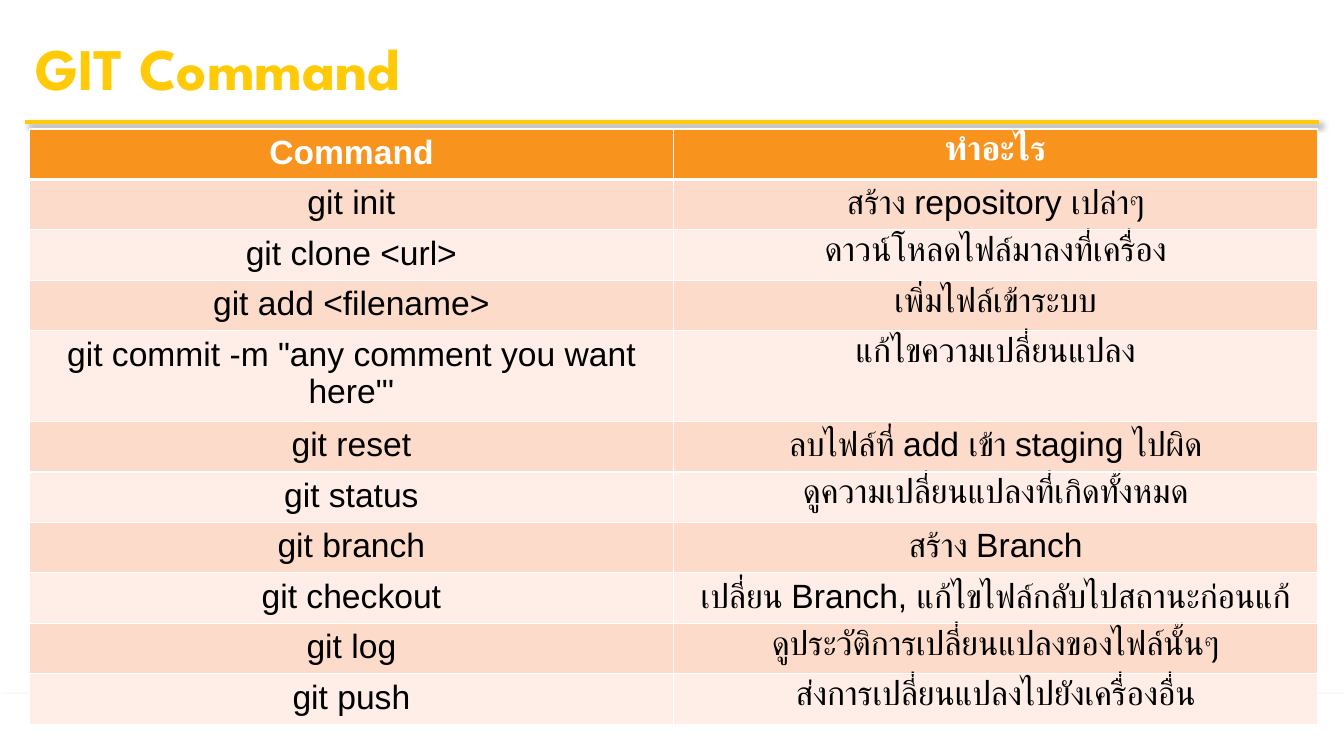
from typing import NamedTuple

from lxml import etree
from pptx import Presentation
from pptx.dml.color import RGBColor
from pptx.enum.shapes import MSO_CONNECTOR, MSO_SHAPE
from pptx.enum.text import MSO_ANCHOR, PP_ALIGN
from pptx.oxml import parse_xml
from pptx.oxml.ns import nsdecls, qn
from pptx.util import Inches, Pt

RECT = MSO_SHAPE.RECTANGLE
STRAIGHT = MSO_CONNECTOR.STRAIGHT
MIDDLE = MSO_ANCHOR.MIDDLE
LEFT, CENTER = PP_ALIGN.LEFT, PP_ALIGN.CENTER

COLORS = {
    "white": "FFFFFF",
    "black": "000000",
    "gold": "FFCA08",
    "head": "F8931D",
    "odd": "FCDBCB",
    "even": "FEEEE7",
}


class Command(NamedTuple):
    name: str
    use: str


HEAD = Command("Command", "ทำอะไร")
COMMANDS = [
    Command("git init", "สร้าง repository เปล่าๆ"),
    Command("git clone <url>", "ดาวน์โหลดไฟล์มาลงที่เครื่อง"),
    Command("git add <filename>", "เพิ่มไฟล์เข้าระบบ"),
    Command("git commit -m \"any comment you want here\"'", "แก้ไขความเปลี่ยนแปลง"),
    Command("git reset", "ลบไฟล์ที่ add เข้า staging ไปผิด"),
    Command("git status", "ดูความเปลี่ยนแปลงที่เกิดทั้งหมด"),
    Command("git branch", "สร้าง Branch"),
    Command("git checkout", "เปลี่ยน Branch, แก้ไขไฟล์กลับไปสถานะก่อนแก้"),
    Command("git log", "ดูประวัติการเปลี่ยนแปลงของไฟล์นั้นๆ"),
    Command("git push", "ส่งการเปลี่ยนแปลงไปยังเครื่องอื่น"),
]


def color(name: str) -> RGBColor:
    return RGBColor.from_string(COLORS[name])


def write(frame, text: str, *, size: float = 24, font: str = "Arial",
          ink: str = "black", bold: bool = False, align=CENTER) -> None:
    par = frame.paragraphs[0]
    par.alignment = align
    run = par.add_run()
    run.text = text
    run.font.size = Pt(size)
    run.font.name = font
    run.font.bold = bold
    run.font.color.rgb = color(ink)


def set_line(line, name: str, width: float) -> None:
    line.color.rgb = color(name)
    line.width = Pt(width)


def add_shadow(shape) -> None:
    effects = etree.SubElement(shape._element.spPr, qn("a:effectLst"))
    effects.append(parse_xml(
        f'<a:outerShdw {nsdecls("a")} blurRad="{Pt(4)}" dist="{Pt(3)}" '
        f'dir="{45 * 60000}" algn="tl" rotWithShape="0">'
        f'<a:srgbClr val="{COLORS["black"]}"><a:alpha val="40000"/></a:srgbClr>'
        '</a:outerShdw>'))


def set_edges(cell, top: float, bottom: float) -> None:
    """Draw white borders, one point wide at the sides."""
    props = cell._tc.get_or_add_tcPr()
    edges = {"L": 1, "R": 1, "T": top, "B": bottom}
    for place, (side, width) in enumerate(edges.items()):
        props.insert(place, parse_xml(
            f'<a:ln{side} {nsdecls("a")} w="{Pt(width)}"><a:solidFill>'
            f'<a:srgbClr val="{COLORS["white"]}"/></a:solidFill></a:ln{side}>'))


def add_footer(shapes) -> None:
    footer = shapes.add_shape(RECT, 0, Inches(6.9), Inches(13.33), Inches(0.59))
    footer.fill.solid()
    footer.fill.fore_color.rgb = color("white")
    set_line(footer.line, "white", 1.5)
    add_shadow(footer)


def add_title(shapes) -> None:
    rule = shapes.add_connector(STRAIGHT, Inches(0.25), Inches(1.21),
                                Inches(13.08), Inches(1.21))
    set_line(rule.line, "gold", 3)
    add_shadow(rule)
    title = shapes.add_textbox(Inches(0.25), Inches(0.17),
                               Inches(12.83), Inches(0.98))
    frame = title.text_frame
    frame.word_wrap = True
    frame.vertical_anchor = MIDDLE
    write(frame, "GIT Command", size=42, font="League Spartan",
          ink="gold", bold=True, align=LEFT)


def add_commands(shapes) -> None:
    rows = [HEAD, *COMMANDS]
    height = Inches(0.41)
    table = shapes.add_table(len(rows), 2, Inches(0.29), Inches(1.28),
                             Inches(12.78), height * len(rows)).table
    for r, row in enumerate(rows):
        table.rows[r].height = height
        is_head = r == 0
        fill = "head" if is_head else "odd" if r % 2 else "even"
        for c, text in enumerate(row):
            cell = table.cell(r, c)
            cell.fill.solid()
            cell.fill.fore_color.rgb = color(fill)
            set_edges(cell, top=3 if r == 1 else 1, bottom=3 if is_head else 1)
            write(cell.text_frame, text, bold=is_head,
                  ink="white" if is_head else "black")


def main() -> None:
    deck = Presentation()
    deck.slide_width, deck.slide_height = Inches(13.33), Inches(7.5)
    shapes = deck.slides.add_slide(deck.slide_layouts[6]).shapes
    add_footer(shapes)
    add_title(shapes)
    add_commands(shapes)
    deck.save("out.pptx")


if __name__ == "__main__":
    main()
